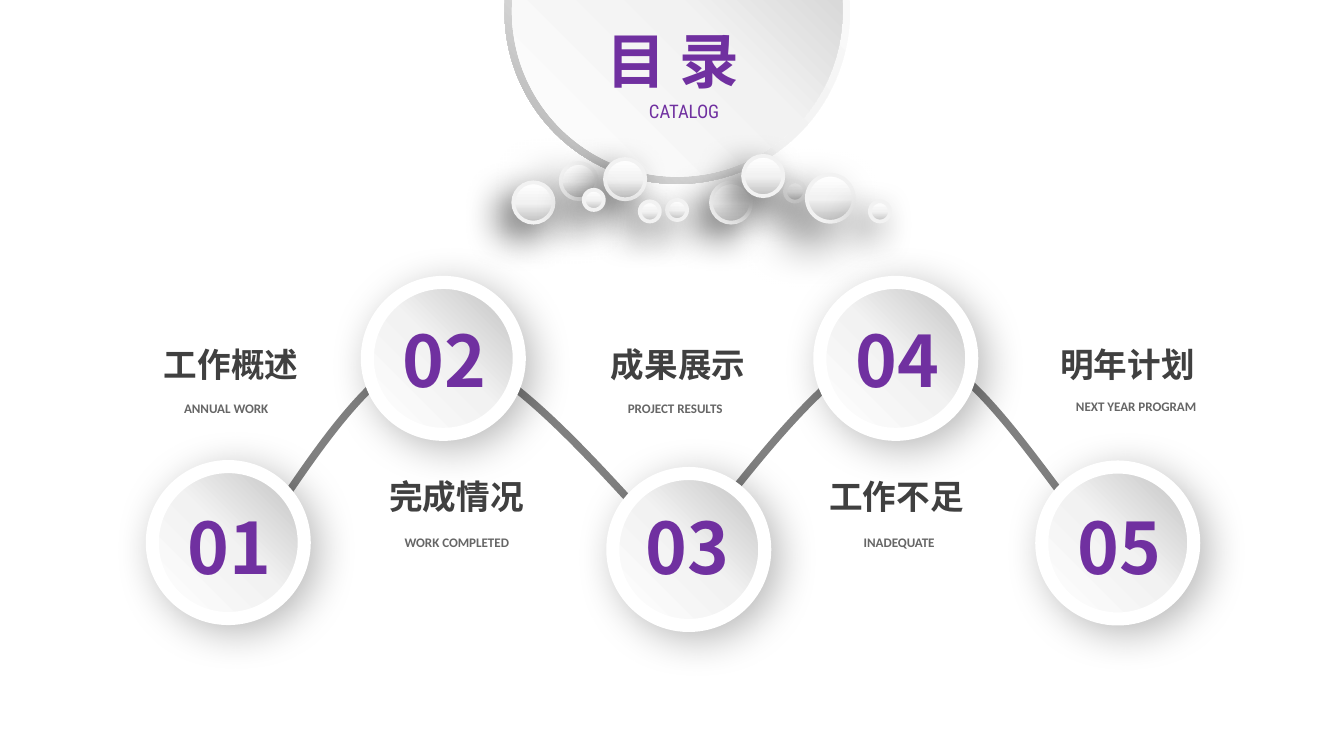
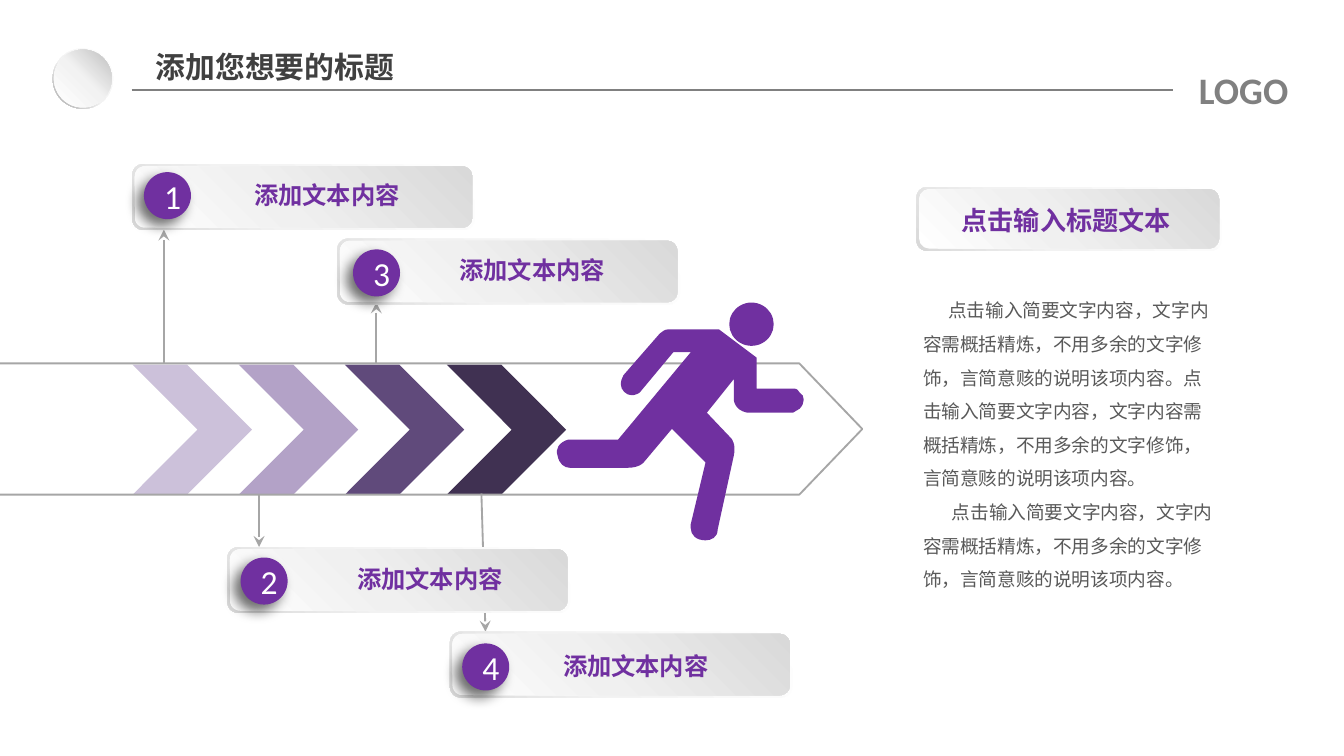
from lxml import etree
from pptx import Presentation
from pptx.dml.color import RGBColor
from pptx.enum.shapes import MSO_CONNECTOR, MSO_SHAPE
from pptx.enum.text import MSO_ANCHOR, MSO_AUTO_SIZE, PP_ALIGN
from pptx.oxml.ns import qn
from pptx.util import Pt

OVAL, DONUT, ROUND = MSO_SHAPE.OVAL, MSO_SHAPE.DONUT, MSO_SHAPE.ROUNDED_RECTANGLE
CHEVRON, PENTAGON = MSO_SHAPE.CHEVRON, MSO_SHAPE.PENTAGON
STRAIGHT = MSO_CONNECTOR.STRAIGHT
LEFT, CENTER = PP_ALIGN.LEFT, PP_ALIGN.CENTER
TOP, MIDDLE = MSO_ANCHOR.TOP, MSO_ANCHOR.MIDDLE
FIT = MSO_AUTO_SIZE.SHAPE_TO_FIT_TEXT

COLORS = {
    "purple": "7030A0", "white": "FFFFFF", "black": "000000",
    "ink": "404040", "body": "595959", "caption": "666666",
    "rule": "808080", "arrow": "A6A6A6", "rim": "F2F2F2",
    "chev1": "CCC1DA", "chev2": "B3A2C7", "chev3": "604A7B", "chev4": "403152",
}
CJK = "Noto Sans CJK SC"

# Text styles: colour name and font values
STYLES = {
    "contents": ("purple", dict(name=CJK, size=Pt(32), bold=True)),
    "catalog": ("purple", dict(name="Roboto Condensed", size=Pt(10))),
    "number": ("purple", dict(name=CJK, size=Pt(38), bold=True)),
    "item": ("ink", dict(name=CJK, size=Pt(18), bold=True)),
    "item_alt": ("ink", dict(name="Roboto", size=Pt(18), bold=True)),
    "caption": ("caption", dict(name="Calibri", size=Pt(7), bold=True)),
    "title": ("ink", dict(name=CJK, size=Pt(16), bold=True)),
    "logo": ("rule", dict(name="Calibri", size=Pt(20), bold=True)),
    "badge": ("white", dict(name="Calibri", size=Pt(18))),
    "card": ("purple", dict(name=CJK, size=Pt(13), bold=True)),
    "heading": ("purple", dict(name=CJK, size=Pt(14), bold=True)),
    "body": ("body", dict(name=CJK, size=Pt(10))),
}

# Gradients: stops (percent, hex) and clockwise angle
DISC_STOPS = [(0, "FFFFFF"), (51, "F2F2F2"), (100, "BFBFBF")]
GRADS = {
    "disc": (DISC_STOPS, 315),
    "ball": (DISC_STOPS, 90),
    "ring": ([(0, "FFFFFF"), (55, "F2F2F2"), (100, "A6A6A6")], 135),
    "plate_edge": ([(0, "FFFFFF"), (62, "F2F2F2"), (100, "D9D9D9")], 135),
    "plate": ([(0, "FFFFFF"), (42, "F0F0F0"), (100, "D9D9D9")], 315),
}

# Shadows: opacity percent, blur, distance, direction
SHADOWS = {
    "circle": (28, 22, 6, 45), "ball": (60, 20, 10, 135),
    "soft_ball": (50, 25, 15, 135), "badge": (57, 7, 5, 135),
}

WIDE_INSET, INSET, NO_INSET = (7.2, 3.6), (5, 2.9), (0, 0)


def rgb(name):
    return RGBColor.from_string(COLORS[name])


def pts(*values):
    return [Pt(v) for v in values]


# ---- Shared building blocks ----
def paint(sp, fill=None, line=None, shadow=None):
    sp.shadow.inherit = False
    if fill in GRADS:
        stops, angle = GRADS[fill]
        sp.fill.gradient()
        sp.fill.gradient_angle = 360 - angle
        gs_list = sp._element.spPr.find(qn("a:gradFill")).find(qn("a:gsLst"))
        for gs in list(gs_list):
            gs_list.remove(gs)
        for pos, color in stops:
            gs = etree.SubElement(gs_list, qn("a:gs"), pos=str(pos * 1000))
            etree.SubElement(gs, qn("a:srgbClr"), val=color)
    elif fill:
        sp.fill.solid()
        sp.fill.fore_color.rgb = rgb(fill)
    else:
        sp.fill.background()
    if line:
        sp.line.color.rgb, sp.line.width = rgb(line[0]), Pt(line[1])
    else:
        sp.line.fill.background()
    if shadow:
        alpha, blur, dist, angle = SHADOWS[shadow]
        effects = sp._element.spPr.find(qn("a:effectLst"))
        outer = etree.SubElement(
            effects, qn("a:outerShdw"), blurRad=str(Pt(blur)), dist=str(Pt(dist)),
            dir=str(angle * 60000), algn="ctr", rotWithShape="0")
        clr = etree.SubElement(outer, qn("a:srgbClr"), val=COLORS["black"])
        etree.SubElement(clr, qn("a:alpha"), val=str(alpha * 1000))


def shape(s, kind, box, fill=None, line=None, shadow=None, adj=None):
    sp = s.shapes.add_shape(kind, *pts(*box))
    if adj is not None:
        sp.adjustments[0] = adj
    paint(sp, fill, line, shadow)
    return sp


def write(tf, lines, style, align=LEFT, anchor=TOP, spacing=None, indents=()):
    color, fmt = STYLES[style]
    tf.word_wrap, tf.vertical_anchor = True, anchor
    for i, line in enumerate(lines):
        p = tf.paragraphs[0] if i == 0 else tf.add_paragraph()
        p.alignment = align
        if spacing:
            p.line_spacing = spacing
        if indents:
            p._p.get_or_add_pPr().set("indent", str(Pt(indents[i])))
        r = p.add_run()
        r.text = line
        for key, value in fmt.items():
            setattr(r.font, key, value)
        r.font.color.rgb = rgb(color)
        etree.SubElement(r._r.get_or_add_rPr(), qn("a:ea"), typeface=CJK)


def text(s, box, lines, style, inset=INSET, fit=True, **layout):
    tf = s.shapes.add_textbox(*pts(*box)).text_frame
    tf.margin_left = tf.margin_right = Pt(inset[0])
    tf.margin_top = tf.margin_bottom = Pt(inset[1])
    write(tf, lines, style, **layout)
    if fit:
        tf.auto_size = FIT


def connector(s, ends, line, arrow=False):
    cn = s.shapes.add_connector(STRAIGHT, *pts(*ends))
    cn.line.color.rgb, cn.line.width = rgb(line[0]), Pt(line[1])
    if arrow:
        etree.SubElement(cn.line._get_or_add_ln(), qn("a:headEnd"), type="stealth")
    etree.SubElement(cn._element.spPr, qn("a:effectLst"))


def outline(s, box, grid, start, segments, closed):
    """Draw lines (x, y) and Bezier curves (six numbers) on a grid fitted to box."""
    x, y, w, h = box

    def place(px, py):
        return Pt(x + px * w / grid[0]), Pt(y + py * h / grid[1])

    builder = s.shapes.build_freeform(*place(*start), scale=1.0)
    builder.add_line_segments(
        [place(*seg[i:i + 2]) for seg in segments for i in range(0, len(seg), 2)],
        close=closed)
    sp = builder.convert_to_shape()
    # Join each curve's three points into one Bezier segment
    steps = iter(list(sp._element.spPr.iter(qn("a:lnTo"))))
    for seg in segments:
        nodes = [next(steps) for _ in range(len(seg) // 2)]
        if len(nodes) == 3:
            curve = etree.Element(qn("a:cubicBezTo"))
            nodes[0].addprevious(curve)
            for node in nodes:
                curve.append(node[0])
                node.getparent().remove(node)
    return sp


def rimmed_disc(s, x, y, d):
    inset = d * 0.0214
    shape(s, DONUT, (x, y, d, d), "ring", adj=0.049)
    shape(s, OVAL, (x + inset, y + inset, d - 2 * inset, d - 2 * inset), "disc")


def plate(s, x, y, w, h):
    shape(s, ROUND, (x, y, w, h), "plate_edge")
    shape(s, ROUND, (x + 1.4, y + 1.2, w - 2.8, h - 2.4), "plate")


# ---- Contents slide ----
WAVE = [(25, 134, 91, 6, 146, 6), (201, 6, 298, 134, 329, 159),
        (359, 184, 302, 181, 329, 155), (355, 128, 438, 4, 489, 2),
        (540, 0, 605, 114, 635, 143)]

# Title, caption, title style, title (x, y, w), caption (x, y, w)
ITEMS = [
    ("工作概述", "ANNUAL WORK", "item", (70.5, 181.5, 106.5), (75.2, 211.7, 92)),
    ("完成情况", "WORK COMPLETED", "item_alt", (188.8, 252, 111.5), (187.2, 283.4, 115)),
    ("成果展示", "PROJECT RESULTS", "item", (314, 181.5, 98.5), (312, 211.7, 99.5)),
    ("工作不足", "INADEQUATE", "item", (427, 252, 106.5), (422.2, 283.4, 119)),
    ("明年计划", "NEXT YEAR PROGRAM", "item", (550.8, 181.5, 106.5), (551.1, 210.7, 115)),
]
# Number, circle (x, y), number offset
CIRCLES = [
    ("02", 196.8, 151.3, 10.6, 15.4), ("03", 328.3, 253.7, 9.2, 13.2),
    ("04", 439.2, 151.3, 10.8, 15.4), ("05", 558.1, 250.2, 10.6, 16.7),
    ("01", 81.6, 250, 10.6, 17),
]
# Ball (x, y, diameter, shadow) relative to the row
BALLS = [
    (105.9, 14.2, 21.6, "ball"), (82.3, 23.6, 10.8, "ball"), (145.5, 13.7, 10.8, "ball"),
    (25.4, 3.8, 19.4, "soft_ball"), (49.1, 1.7, 21.6, "ball"), (67.7, 24.4, 10.8, "ball"),
    (157.2, 10.1, 25.2, "soft_ball"), (0, 14.2, 21.6, "ball"), (123.1, 0, 21.6, "ball"),
    (37.7, 18.2, 10.8, "ball"), (191, 24.4, 10.8, "ball"),
]


def agenda_path(s, box):
    wave = outline(s, box, (635, 184), (0, 159), WAVE, False)
    paint(wave, line=("rule", 4))
    for title, caption, style, (x, y, w), (cx, cy, cw) in ITEMS:
        text(s, (x, y, w, 27.4), [title], style, align=CENTER)
        text(s, (cx, cy, cw, 13.7), [caption], "caption", align=CENTER)
    for number, x, y, dx, dy in CIRCLES:
        shape(s, OVAL, (x, y, 81.4, 81.4), "disc", ("white", 7), "circle")
        text(s, (x + dx, y + dy, 61.9, 51.8), [number], "number", align=CENTER)


def contents_dome(s, x, y, d):
    rimmed_disc(s, x, y, d)
    for bx, by, size, shadow in BALLS:
        shape(s, OVAL, (x + 4.7 + bx, y + 169.9 + by, size, size), "ball", ("rim", 2), shadow)
    text(s, (x + 47.3, y + 95.8, 97.2, 46), ["目 录"], "contents", WIDE_INSET)
    text(s, (x + 42.2, y + 131, 108, 30.2), ["CATALOG"], "catalog", fit=False,
         align=CENTER, anchor=MIDDLE)


def contents_slide(s):
    agenda_path(s, (129.6, 183.6, 457.2, 132.5))
    contents_dome(s, 270.3, -86.4, 185)


# ---- Running figure slide ----
RUNNER = [
    (12, 82), (47, 82), (101, 17), (88, 17), (63, 47),
    (62, 48, 59, 49, 57, 49), (53, 49, 49, 45, 49, 41), (49, 38, 50, 36, 51, 34),
    (78, 3), (80, 2, 81, 0, 84, 0), (122, 0), (150, 21), (150, 44), (177, 44),
    (180, 44, 181, 45, 182, 47), (186, 49, 186, 55, 182, 59), (181, 60, 180, 60, 177, 62),
    (143, 62), (133, 60, 133, 52, 133, 52), (133, 37), (113, 62), (131, 81),
    (131, 81, 135, 85, 133, 94), (121, 149), (121, 155, 116, 157, 112, 157),
    (105, 157, 101, 153, 101, 148), (101, 145), (112, 99), (87, 74), (66, 99),
    (66, 99, 63, 103, 54, 103), (11, 103), (7, 103, 3, 100, 2, 94), (0, 89, 3, 84, 10, 82),
]
# Number, card (x, y), badge offset, label offset, label width
CARDS = [
    ("1", 70.8, 87.9, 6.3, 4.3, 26.6, 8.4, 155.5),
    ("2", 121.8, 293.1, 7.1, 5.6, 35.4, 8.9, 146.2),
    ("3", 180.7, 127.8, 8.4, 5.8, 29.5, 8.8, 149.8),
    ("4", 241, 338.4, 6.6, 6.3, 21.8, 10.4, 155.5),
]
ARROWS = [(201.6, 162, 201.6, 194.4), (87.8, 123, 87.8, 195),
          (260.1, 338.4, 257.9, 264.4), (138.8, 293, 138.8, 264.4)]
BODY = [
    "点击输入简要文字内容，文字内容需概括精炼，不用多余的文字修饰，言简意赅的说明该项内容。"
    "点击输入简要文字内容，文字内容需概括精炼，不用多余的文字修饰，言简意赅的说明该项内容。",
    "点击输入简要文字内容，文字内容需概括精炼，不用多余的文字修饰，言简意赅的说明该项内容。",
]


def header(s, x, y, title):
    rimmed_disc(s, x, y, 32.4)
    connector(s, (x + 42.3, y + 22.3, x + 600.3, y + 22.3), ("rule", 1.25))
    text(s, (x + 592.7, y + 6.3, 90.7, 31.7), ["LOGO"], "logo", WIDE_INSET, align=CENTER)
    text(s, (x + 48.3, y - 3.3, 221, 26.6), [title], "title", WIDE_INSET)


def track(s, x, y, w, h):
    for i, dx in enumerate((74, 130.9, 187.7, 242.3), 1):
        shape(s, CHEVRON, (x + dx, y + 0.6, 64, 69.8), f"chev{i}", adj=0.544)
    for ends in ARROWS:
        connector(s, ends, ("arrow", 1), arrow=True)
    shape(s, PENTAGON, (x, y, w, h), line=("arrow", 1), adj=0.48)


def card(s, number, x, y, dx, dy, label_dx, label_dy, label_w):
    plate(s, x, y, 183.6, 35.3)
    badge = shape(s, OVAL, (x + dx, y + dy, 25.2, 25.2), "purple", shadow="badge")
    write(badge.text_frame, [number], "badge", CENTER, MIDDLE)
    text(s, (x + label_dx, y + label_dy, label_w, 15.8), ["添加文本内容"], "card",
         NO_INSET, align=CENTER)


def runner(s, x, y):
    shape(s, OVAL, (x + 93.4, y - 14.4, 23.8, 23.2), "purple")
    body = outline(s, (x, y, 134, 113), (186, 157), (10, 82), RUNNER, True)
    paint(body, "purple")


def side_note(s, x, y):
    text(s, (x - 3.5, y + 50.5, 170.2, 170.6), BODY, "body", WIDE_INSET,
         spacing=1.5, indents=(13.4, 15.4))
    plate(s, x, y, 163.5, 34.2)
    text(s, (x + 1.4, y + 9.3, 157.7, 17.3), ["点击输入标题文本"], "heading", NO_INSET,
         align=CENTER)


def running_slide(s):
    header(s, 28.2, 25.9, "添加您想要的标题")
    track(s, -3, 194.7, 465, 70.3)
    for values in CARDS:
        card(s, *values)
    runner(s, 297.3, 176.5)
    side_note(s, 491, 100.2)


def main():
    prs = Presentation()
    prs.slide_width, prs.slide_height = Pt(720), Pt(405)
    for build in (contents_slide, running_slide):
        build(prs.slides.add_slide(prs.slide_layouts[6]))
    prs.save("out.pptx")


if __name__ == "__main__":
    main()
